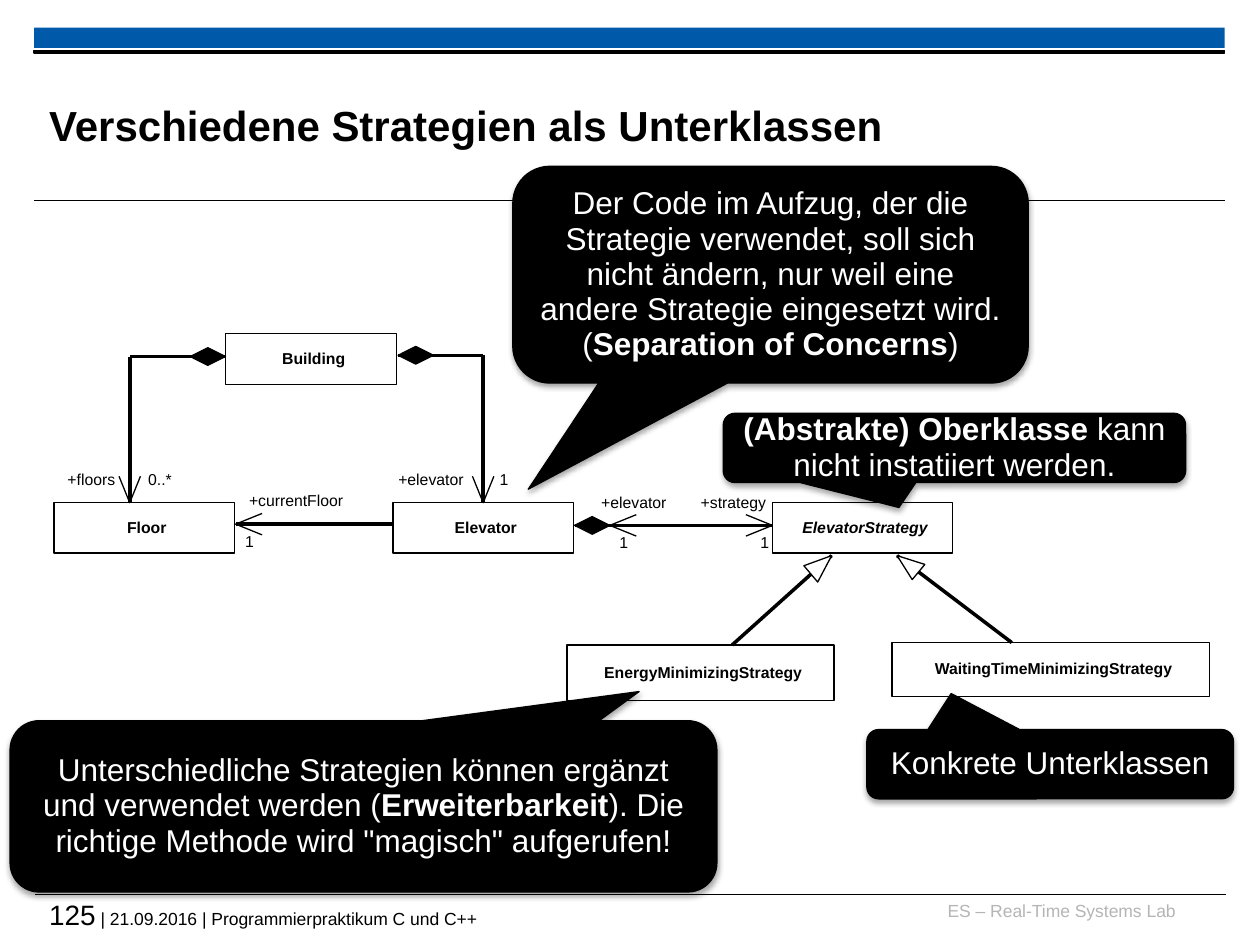
import dataclasses

import pptx
import pptx.dml.color
import pptx.enum.shapes
import pptx.enum.text
import pptx.util
from lxml import etree
from pptx.oxml.ns import qn


@dataclasses.dataclass(frozen=True)
class Theme:
    font: str = "Arial"
    black: str = "000000"
    white: str = "FFFFFF"
    blue: str = "005AA9"
    grey: str = "B5B5B5"
    title: int = 24
    callout: int = 18
    number: int = 16
    footer: int = 10
    diagram: int = 9


theme = Theme()
rgb = pptx.dml.color.RGBColor.from_string
kinds = pptx.enum.shapes.MSO_SHAPE
aligns = pptx.enum.text.PP_ALIGN
middle = pptx.enum.text.MSO_ANCHOR.MIDDLE

deck = pptx.Presentation()
deck.slide_width = pptx.util.Inches(10)
deck.slide_height = pptx.util.Inches(7.5)
cell = deck.slide_width / 100  # square grid: 100 columns, 75 rows
page = deck.slides.add_slide(deck.slide_layouts[5])
shapes = page.shapes


def cells(*counts):
    return [round(count * cell) for count in counts]


def write(box, lines, align, wrap=True, inset=0, spacing=None):
    """Each line is a list of runs: text, size, colour, style letters."""
    frame = box.text_frame
    frame.word_wrap = wrap
    frame.margin_left, frame.margin_right = cells(inset, inset)
    frame.margin_top, frame.margin_bottom = cells(inset / 2, inset / 2)
    for index, line in enumerate(lines):
        para = frame.add_paragraph() if index else frame.paragraphs[0]
        para.alignment = align
        para.line_spacing = spacing
        for text, size, color, style in line:
            span = para.add_run()
            span.text = text
            span.font.name = theme.font
            span.font.size = pptx.util.Pt(size)
            span.font.color.rgb = rgb(color)
            span.font.bold = "b" in style
            span.font.italic = "i" in style


# Title
title = shapes.title
title.left, title.top, title.width, title.height = cells(3.9, 5.3, 75.2, 9.2)
title.text_frame.vertical_anchor = middle
write(title, [[("Verschiedene Strategien als Unterklassen", theme.title, theme.black, "b")]],
      aligns.LEFT)

# Header bars
for top, height, color in [(2.2, 1.6, theme.blue), (4, 0.2, theme.black)]:
    bar = shapes.add_shape(kinds.RECTANGLE, *cells(2.7, top, 94.5, height))
    bar.shadow.inherit = False
    bar.fill.solid()
    bar.fill.fore_color.rgb = rgb(color)
    bar.line.fill.background()
    if color == theme.black:
        bar.line.color.rgb = rgb(color)
        bar.line.width = pptx.util.Pt(0.75)

# Footer
footers = [
    ((73.6, 71.4, 19.7, 2.5), aligns.RIGHT,
     [("ES – Real-Time Systems Lab", theme.footer, theme.grey, "")]),
    ((3.9, 71.2, 93.3, 3.3), aligns.LEFT,
     [("125", theme.number, theme.black, ""),
      (" | 21.09.2016 | Programmierpraktikum C und C++", theme.footer, theme.black, "")]),
]
for place, align, spans in footers:
    write(shapes.add_textbox(*cells(*place)), [spans], align)

# Classes
classes = {}
for name, place, style in [
    ("Building", (17.9, 26.5, 13.6, 4), "b"),
    ("Elevator", (31.2, 39.9, 14.3, 4), "b"),
    ("ElevatorStrategy", (61.3, 39.9, 14.3, 4), "bi"),
    ("Floor", (4.3, 39.9, 14.3, 4), "b"),
    ("EnergyMinimizingStrategy", (45, 51.2, 21.2, 4.4), "b"),
    ("WaitingTimeMinimizingStrategy", (70.8, 51, 25.2, 4.3), "b"),
]:
    box = classes[name] = shapes.add_shape(kinds.RECTANGLE, *cells(*place))
    box.shadow.inherit = False
    box.fill.solid()
    box.fill.fore_color.rgb = rgb(theme.white)
    box.line.color.rgb = rgb(theme.black)
    box.line.width = pptx.util.Pt(0)
    box.text_frame.vertical_anchor = middle
    write(box, [[(name, theme.diagram, theme.black, style)]], aligns.CENTER, spacing=0.93)
    box.text_frame.margin_left = cells(0.4)[0]

# Rules and relations: ends, width, class whose top middle is joined
for ends, width, target in [
    ((2.7, 15.9, 97.2, 15.9), 0.6, None),
    ((2.8, 71, 97.3, 71), 0.6, None),
    ((31.2, 41.6, 18.7, 41.6), 0, None),
    ((45.6, 41.7, 61.3, 41.7), 0, None),
    ((31.6, 28.2, 38.35, 28.2), 0, None),
    ((38.35, 28.2, 38.35, 39.9), 0, "Elevator"),
    ((17.9, 28.3, 10.3, 28.3), 0, None),
    ((10.3, 28.3, 10.3, 39.9), 0, None),
    ((58.1, 51.2, 66, 44.1), 0, None),
    ((80.3, 51, 71.2, 44.1), 0, None),
]:
    line = shapes.add_connector(pptx.enum.shapes.MSO_CONNECTOR.STRAIGHT, *cells(*ends))
    line.line.color.rgb = rgb(theme.black)
    line.line.width = pptx.util.Pt(width)
    etree.SubElement(line._element.spPr, qn("a:effectLst"))
    if target:
        line.end_connect(classes[target], 0)

# Composition diamonds
for left, center in [(45.6, 41.7), (31.6, 28.2), (15.1, 28.3)]:
    diamond = shapes.add_shape(kinds.DIAMOND, *cells(left, center - 0.7, 2.8, 1.4))
    diamond.shadow.inherit = False
    diamond.fill.solid()
    diamond.fill.fore_color.rgb = rgb(theme.black)
    diamond.line.color.rgb = rgb(theme.black)
    diamond.line.width = pptx.util.Pt(0)

# Open arrowheads from tip and direction of the arms, then inheritance triangles
outlines = [([(x + 2.1 * dx + 0.85 * dy, y + 2.1 * dy + 0.85 * dx), (x, y),
              (x + 2.1 * dx - 0.85 * dy, y + 2.1 * dy - 0.85 * dx)], False)
            for x, y, dx, dy in [(18.7, 41.6, 1, 0), (61.3, 41.7, -1, 0), (48.4, 41.7, 1, 0),
                                 (38.35, 39.9, 0, -1), (10.3, 39.9, 0, -1)]]
outlines += [([(64.9, 46.2), (63.8, 44.9), (66, 44.1)], True),
             ([(73.4, 44.8), (72.4, 46), (71.2, 44.1)], True)]
for points, closed in outlines:
    start, *others = [cells(*point) for point in points]
    builder = shapes.build_freeform(*start)
    builder.add_line_segments(others, close=closed)
    head = builder.convert_to_shape()
    head.shadow.inherit = False
    head.line.color.rgb = rgb(theme.black)
    head.line.width = pptx.util.Pt(0)
    if closed:
        head.fill.solid()
        head.fill.fore_color.rgb = rgb(theme.white)
    else:
        head.fill.background()

# Role names and multiplicities
for text, left, top, width in [
    ("+currentFloor", 19.2, 39.1, 8.6), ("1", 19.2, 42.3, 1.2),
    ("+elevator", 47.2, 39.2, 6.2), ("1", 48.9, 42.4, 1.2),
    ("+strategy", 55.1, 39.2, 6.2), ("1", 60.1, 42.4, 1.2),
    ("+elevator", 31.1, 37.4, 6.2), ("1", 39.4, 37.4, 1.2),
    ("+floors", 4.9, 37.4, 4.7), ("0..*", 11.4, 37.4, 2.6),
]:
    write(shapes.add_textbox(*cells(left, top, width, 1.8)),
          [[(text, theme.diagram, theme.black, "")]], aligns.CENTER, wrap=False, spacing=0.93)

# Callouts: place, pointer, lines of runs
for place, pointer, lines in [
    ((57.4, 32.8, 36.7, 5.5), (-0.12, 0.86),
     [[("(Abstrakte) Oberklasse ", "b"), ("kann nicht instatiiert werden.", "")]]),
    ((68.8, 57.9, 29.1, 5.5), (-0.27, -1.02), [[("Konkrete Unterklassen", "")]]),
    ((40.7, 13.2, 40.9, 17.2), (-0.47, 0.99),
     [[("Der Code im Aufzug, der die Strategie verwendet, soll sich nicht ändern, "
        "nur weil eine andere Strategie eingesetzt wird.", "")],
      [("(", ""), ("Separation of Concerns", "b"), (")", "")]]),
    ((0.8, 57.2, 56.1, 13.6), (0.39, -0.67),
     [[("Unterschiedliche Strategien können ergänzt und verwendet werden (", ""),
       ("Erweiterbarkeit", "b"),
       ("). Die richtige Methode wird \"magisch\" aufgerufen!", "")]]),
]:
    callout = shapes.add_shape(kinds.ROUNDED_RECTANGULAR_CALLOUT, *cells(*place))
    for index, value in enumerate((*pointer, 0.17)):
        callout.adjustments[index] = value
    callout.fill.solid()
    callout.fill.fore_color.rgb = rgb(theme.black)
    callout.line.color.rgb = rgb(theme.black)
    callout.line.width = pptx.util.Pt(0.75)
    callout.shadow.inherit = False
    effects = callout._element.spPr.find(qn("a:effectLst"))
    shadow = etree.SubElement(effects, qn("a:outerShdw"), blurRad="40000", dist="23000",
                              dir="5400000", rotWithShape="0")
    tint = etree.SubElement(shadow, qn("a:srgbClr"), val=theme.black)
    etree.SubElement(tint, qn("a:alpha"), val="35000")
    callout.text_frame.vertical_anchor = middle
    write(callout, [[(text, theme.callout, theme.white, style) for text, style in line]
                    for line in lines], aligns.CENTER, inset=1, spacing=0.93)

deck.save("out.pptx")
